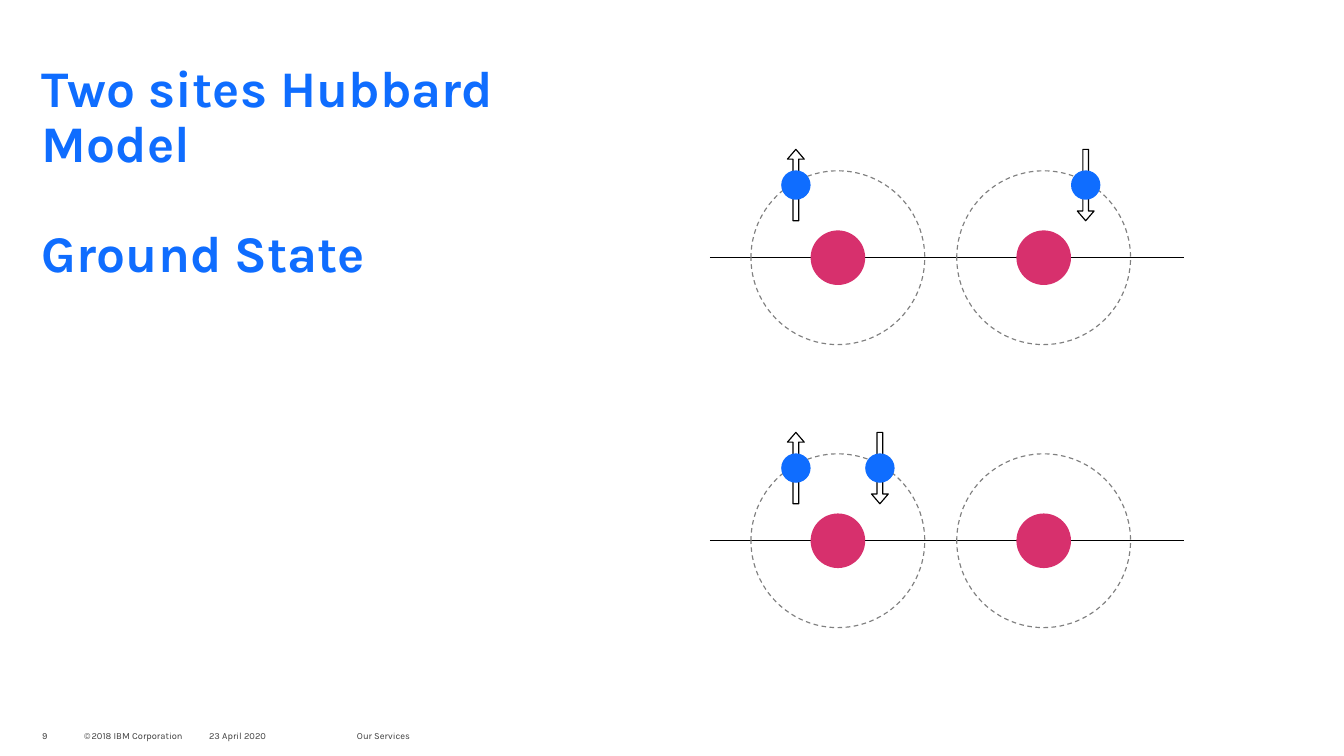
from pptx import Presentation
from pptx.dml.color import RGBColor
from pptx.enum.dml import MSO_LINE
from pptx.enum.shapes import MSO_CONNECTOR, MSO_SHAPE
from pptx.enum.text import MSO_ANCHOR
from pptx.oxml import parse_xml
from pptx.oxml.ns import nsdecls
from pptx.util import Pt

BLUE, PINK, GREY, BLACK, FOOTER_GREY = "0F6DFF", "D7306D", "808080", "000000", "3D3D3D"
TITLE_FORMAT = {"name": "Karla", "size": Pt(44), "bold": True}
FOOTER_FORMAT = {"name": "Karla", "size": Pt(8), "bold": False}
SITE_OFFSETS = {"left": 109.8, "right": 286.2}
ORBIT, NUCLEUS, ELECTRON = 149, 46.8, 25.2
ARROW_LENGTH, ARROW_WIDTH = 61.2, 14.4
ELECTRON_SHIFT, ELECTRON_RISE = 36, 62.3
SPIN_ROTATION = {"up": 270, "down": 90}


def color(hex_value):
    """Turn a hex string into a colour."""
    return RGBColor.from_string(hex_value)


def add_span(para, text, font_format, hex_value):
    """Add one formatted run to a paragraph."""
    span = para.add_run()
    span.text = text
    for name, value in font_format.items():
        setattr(span.font, name, value)
    span.font.color.rgb = color(hex_value)


def add_frame(page, box, anchor):
    """Add a wrapping text box without margins and return its text frame."""
    frame = page.shapes.add_textbox(*map(Pt, box)).text_frame
    settings = {"word_wrap": True, "vertical_anchor": anchor, "margin_left": 0,
                "margin_top": 0, "margin_right": 0, "margin_bottom": 0}
    for name, value in settings.items():
        setattr(frame, name, value)
    return frame


def add_title(page, box, lines):
    """Write the title parts, set one line apart."""
    frame = add_frame(page, box, MSO_ANCHOR.TOP)
    for index, text in enumerate(lines):
        para = frame.add_paragraph() if index else frame.paragraphs[0]
        para.line_spacing = 0.9
        para.space_before = Pt(47 if index else 0)
        add_span(para, text, TITLE_FORMAT, BLUE)


def add_footer(page, box):
    """Write the footer items along one row."""
    left, top, width, height = box
    items = [(0, 26, [("9", 8)]),
             (36, 106, [("©", 8), (" ", 4), ("2018 IBM Corporation", 8)]),
             (143.2, 108, [("23 April 2020", 8)]),
             (270, 180, [("Our Services", 8)])]
    for offset, item_width, spans in items:
        frame = add_frame(page, (left + offset, top, item_width, height), MSO_ANCHOR.MIDDLE)
        for text, size in spans:
            add_span(frame.paragraphs[0], text, FOOTER_FORMAT | {"size": Pt(size)}, FOOTER_GREY)


def add_centred(group, kind, centre, size, fill=None, line=None):
    """Add a shape around a centre, with a fill or an outline."""
    (x, y), (width, height) = centre, size
    shape = group.shapes.add_shape(kind, Pt(x - width / 2), Pt(y - height / 2), Pt(width), Pt(height))
    shape.shadow.inherit = False
    if fill:
        shape.fill.solid()
        shape.fill.fore_color.rgb = color(fill)
    else:
        shape.fill.background()
    if line:
        shape.line.color.rgb = color(line)
        shape.line.width = Pt(1)
    else:
        shape.line.fill.background()
    return shape


def add_electron(group, centre, spin):
    """Draw an electron over its spin arrow."""
    arrow = add_centred(group, MSO_SHAPE.RIGHT_ARROW, centre, (ARROW_LENGTH, ARROW_WIDTH), line=BLACK)
    arrow.adjustments[0], arrow.adjustments[1] = 0.341, 0.579
    arrow.rotation = SPIN_ROTATION[spin]
    add_centred(group, MSO_SHAPE.OVAL, centre, (ELECTRON, ELECTRON), fill=BLUE)


def add_model(page, box, electrons):
    """Draw two sites on an axis through the middle of the box, with their electrons."""
    left, top, width, height = box
    middle = top + height / 2
    group = page.shapes.add_group_shape()
    axis = group.shapes.add_connector(MSO_CONNECTOR.STRAIGHT, Pt(left), Pt(middle),
                                      Pt(left + width), Pt(middle))
    axis.line.color.rgb = color(BLACK)
    axis.line.width = Pt(0.5)
    axis._element.spPr.append(parse_xml(f"<a:effectLst {nsdecls('a')}/>"))
    for offset in SITE_OFFSETS.values():
        centre = (left + offset, middle)
        add_centred(group, MSO_SHAPE.OVAL, centre, (NUCLEUS, NUCLEUS), fill=PINK)
        orbit = add_centred(group, MSO_SHAPE.OVAL, centre, (ORBIT, ORBIT), line=GREY)
        orbit.line.dash_style = MSO_LINE.DASH
    for site, side, spin in electrons:
        x = left + SITE_OFFSETS[site] + side * ELECTRON_SHIFT
        add_electron(group, (x, middle - ELECTRON_RISE), spin)


def main():
    """Build the slide and save the deck."""
    deck = Presentation()
    deck.slide_width, deck.slide_height = Pt(1152), Pt(648)
    page = deck.slides.add_slide(deck.slide_layouts[6])
    add_footer(page, (36, 621.8, 450, 17.3))
    add_title(page, (36, 54, 475.2, 158.4), ["Two sites Hubbard Model", "Ground State"])
    add_model(page, (608.4, 146.4, 406.8, ORBIT), [("left", -1, "up"), ("right", 1, "down")])
    add_model(page, (608.4, 389, 406.8, ORBIT), [("left", -1, "up"), ("left", 1, "down")])
    deck.save("out.pptx")


if __name__ == "__main__":
    main()
